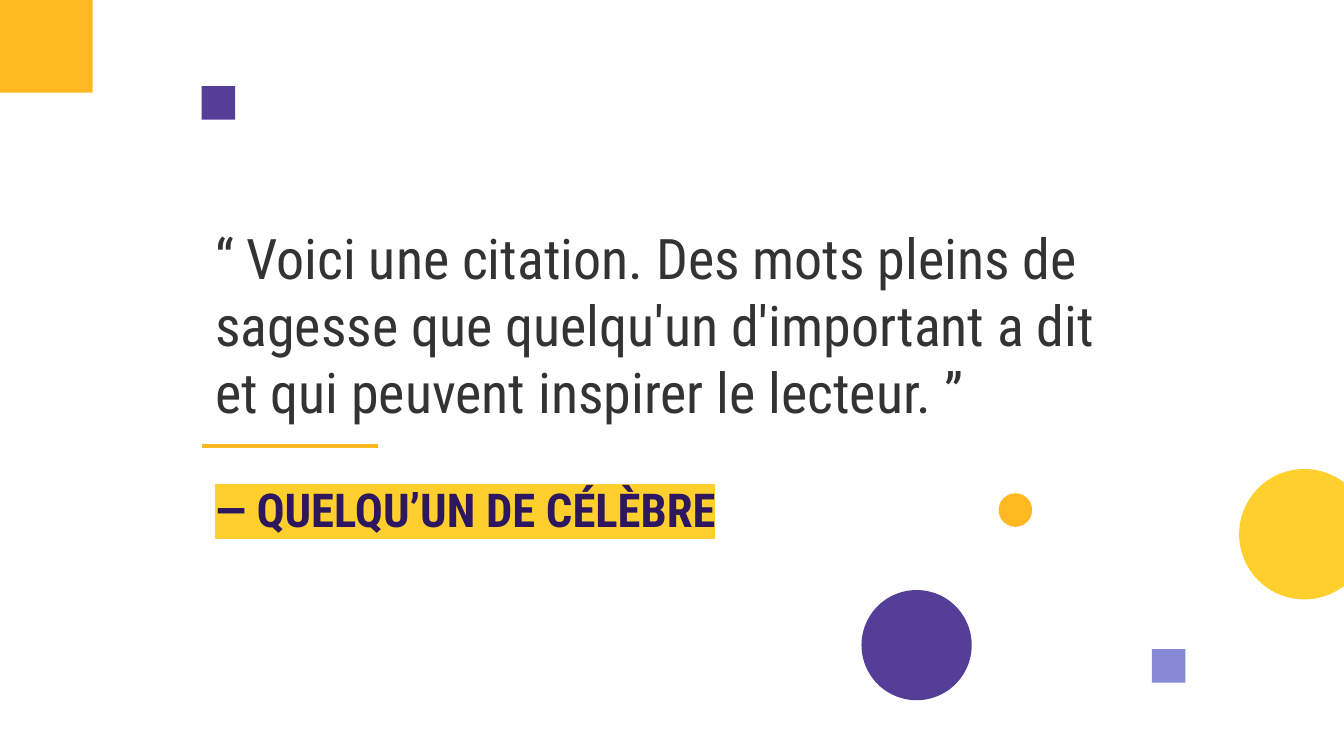
import dataclasses

import lxml.etree
import pptx
import pptx.dml.color
import pptx.enum.shapes
import pptx.enum.text
import pptx.oxml.ns
import pptx.util

Inches = pptx.util.Inches
Shapes = pptx.enum.shapes.MSO_SHAPE
qn = pptx.oxml.ns.qn


@dataclasses.dataclass(frozen=True)
class Theme:
    font: str = "Roboto Condensed"
    quote_size: float = 30
    author_size: float = 25
    rule_width: float = 2.25
    white: str = "FFFFFF"
    text: str = "333333"
    indigo: str = "2D1860"
    purple: str = "543E97"
    lavender: str = "8789D6"
    orange: str = "FFB822"
    yellow: str = "FFCF2D"


THEME = Theme()


def rgb(color):
    return pptx.dml.color.RGBColor.from_string(color)


def apply(target, values):
    for name, value in values.items():
        setattr(target, name, value)


def add_mark(page, kind, left, top, size, color):
    """Add a square or circle of one plain colour."""
    mark = page.shapes.add_shape(
        kind, Inches(left), Inches(top), Inches(size), Inches(size))
    mark.shadow.inherit = False
    mark.fill.solid()
    mark.fill.fore_color.rgb = rgb(color)
    mark.line.fill.background()


def add_decor(page, box):
    left, top = box
    small = 0.25
    for kind, across, down, size, color in (
        (Shapes.OVAL, 9.22, 3.49, 0.97, THEME.yellow),
        (Shapes.RECTANGLE, 0, 0, 0.69, THEME.orange),
        (Shapes.RECTANGLE, 1.5, 0.64, small, THEME.purple),
        (Shapes.RECTANGLE, 8.57, 4.83, small, THEME.lavender),
        (Shapes.OVAL, 7.43, 3.67, small, THEME.orange),
        (Shapes.OVAL, 6.41, 4.39, 0.82, THEME.purple),
    ):
        add_mark(page, kind, left + across, top + down, size, color)


def fill_placeholder(holder, box, text, size, color, bold):
    """Place the holder in the box, write its text and return the span."""
    apply(holder, dict(zip(("left", "top", "width", "height"), map(Inches, box))))
    frame = holder.text_frame
    apply(frame, {
        "word_wrap": True,
        "auto_size": pptx.enum.text.MSO_AUTO_SIZE.NONE,
        "vertical_anchor": pptx.enum.text.MSO_ANCHOR.MIDDLE,
        **{f"margin_{side}": Inches(0.1)
           for side in ("left", "top", "right", "bottom")},
    })
    para = frame.paragraphs[0]
    apply(para, {
        "alignment": pptx.enum.text.PP_ALIGN.LEFT,
        "line_spacing": 1.0,
        "space_before": pptx.util.Pt(0),
    })
    span = para.add_run()
    span.text = text
    apply(span.font, {"size": pptx.util.Pt(size), "name": THEME.font, "bold": bold})
    span.font.color.rgb = rgb(color)
    return span


def highlight(span, color):
    marker = lxml.etree.Element(qn("a:highlight"))
    lxml.etree.SubElement(marker, qn("a:srgbClr"), val=color)
    span._r.rPr.find(qn("a:solidFill")).addnext(marker)


def add_rule(page, left, top, width):
    rule = page.shapes.add_connector(
        pptx.enum.shapes.MSO_CONNECTOR.STRAIGHT,
        Inches(left), Inches(top), Inches(left + width), Inches(top))
    rule.line.color.rgb = rgb(THEME.orange)
    rule.line.width = pptx.util.Pt(THEME.rule_width)
    lxml.etree.SubElement(rule._element.spPr, qn("a:effectLst"))


def add_quote(page, box, quote, author):
    """Stack the quote, a short rule and the author in the box."""
    left, top, width = box
    fill_placeholder(
        page.placeholders[1], (left, top, width, 1.62),
        quote, THEME.quote_size, THEME.text, False)
    add_rule(page, left, top + 1.72, 1.31)
    span = fill_placeholder(
        page.shapes.title, (left, top + 1.95, width, 0.47),
        author, THEME.author_size, THEME.indigo, True)
    highlight(span, THEME.yellow)


def main():
    deck = pptx.Presentation()
    width = Inches(10)
    apply(deck, {"slide_width": width, "slide_height": width * 9 // 16})
    page = deck.slides.add_slide(deck.slide_layouts[0])
    page.background.fill.solid()
    page.background.fill.fore_color.rgb = rgb(THEME.white)
    add_decor(page, (0, 0))
    add_quote(
        page, (1.5, 1.6, 6.99),
        "“ Voici une citation. Des mots pleins de sagesse que quelqu'un "
        "d'important a dit et qui peuvent inspirer le lecteur. ”",
        "— QUELQU’UN DE CÉLÈBRE")
    deck.save("out.pptx")


if __name__ == "__main__":
    main()
